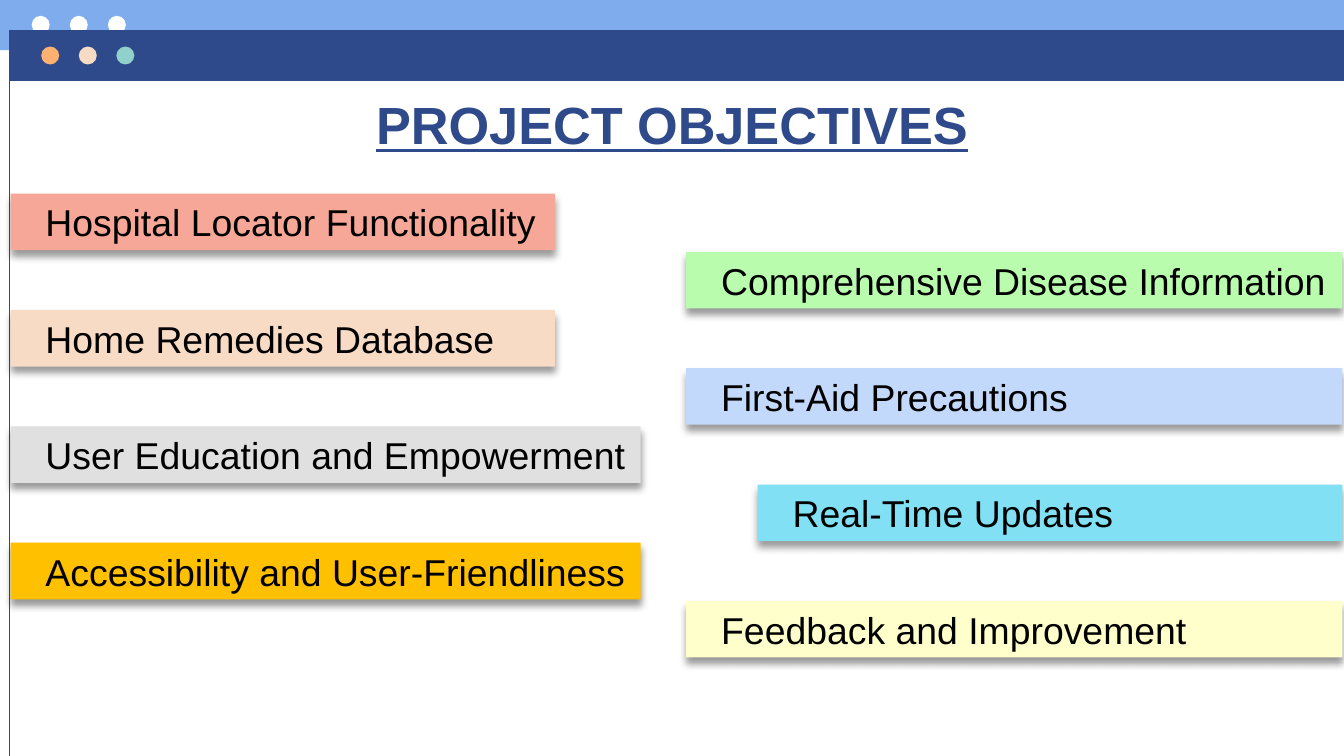
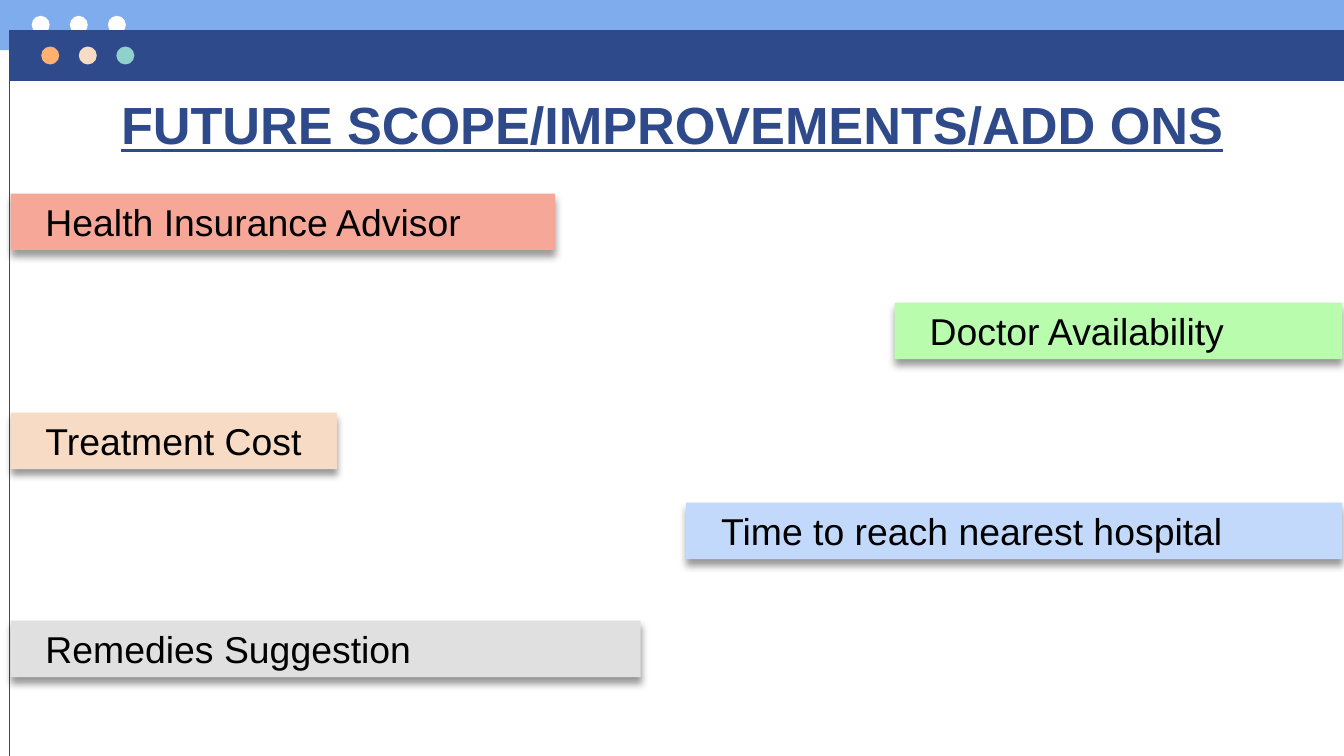
from dataclasses import dataclass
from typing import Any

from lxml.etree import SubElement
from pptx import Presentation
from pptx.dml.color import RGBColor
from pptx.enum.shapes import MSO_CONNECTOR, MSO_SHAPE
from pptx.enum.text import MSO_ANCHOR, MSO_AUTO_SIZE, PP_ALIGN
from pptx.oxml.ns import qn
from pptx.util import Cm, Pt


@dataclass(frozen=True)
class Theme:
    """Colours, font and type sizes of the deck."""
    font: str = "Arial"
    title_size: float = 28
    bar_size: float = 20
    navy: str = "2F4A8A"
    sky: str = "7EACEC"
    white: str = "FFFFFF"
    black: str = "000000"
    orange: str = "FFB172"
    peach: str = "F8DBC4"
    teal: str = "90D1CB"
    coral: str = "F7A797"
    green: str = "B9FCAE"
    blue: str = "C3D9FB"
    grey: str = "E0E0E0"
    amber: str = "FFC000"
    cyan: str = "81E0F3"
    yellow: str = "FFFFCC"


@dataclass(frozen=True)
class Bar:
    """A label bar that starts at the left or ends at the right margin (cm)."""
    text: str
    color: str
    top: float
    width: float
    on_right: bool = False


T = Theme()
SLIDE_W, SLIDE_H = 25.4, 14.29
LEFT_EDGE, RIGHT_EDGE = 0.2, 25.37
BAR_H, BAR_INDENT = 1.07, 0.41
FIRST_TOP, ROW_STEP = 3.66, 1.1
FRAME_X, FRAME_Y, BAND_H = 0.18, 0.57, 0.96
DOT = 0.34
NARROW, MEDIUM, WIDE = 10.29, 11.91, 12.4


def apply(obj: Any, **values: Any) -> None:
    """Set each named attribute on an object."""
    for name, value in values.items():
        setattr(obj, name, value)


def add_block(s: Any, kind: MSO_SHAPE, x: float, y: float,
              w: float, h: float, color: str) -> Any:
    """Add a flat filled shape without outline, placed in cm."""
    sp = s.shapes.add_shape(kind, Cm(x), Cm(y), Cm(w), Cm(h))
    sp.shadow.inherit = False
    sp.fill.solid()
    sp.fill.fore_color.rgb = RGBColor.from_string(color)
    sp.line.fill.background()
    return sp


def add_dots(s: Any, x: float, y: float, step: float, colors: list[str]) -> None:
    """Add a row of window dots."""
    for i, color in enumerate(colors):
        add_block(s, MSO_SHAPE.OVAL, x + i * step, y, DOT, DOT, color)


def add_window_frame(s: Any) -> None:
    """Add the two bands, their dots and the left edge line."""
    add_block(s, MSO_SHAPE.RECTANGLE, 0, 0, SLIDE_W, 0.95, T.sky)
    add_dots(s, 0.6, 0.3, 0.72, [T.white] * 3)
    add_block(s, MSO_SHAPE.RECTANGLE, FRAME_X, FRAME_Y,
              SLIDE_W - FRAME_X, BAND_H, T.navy)
    add_dots(s, 0.78, 0.88, 0.71, [T.orange, T.peach, T.teal])
    edge = s.shapes.add_connector(MSO_CONNECTOR.STRAIGHT, Cm(FRAME_X), Cm(FRAME_Y),
                                  Cm(FRAME_X), Cm(SLIDE_H))
    edge.line.color.rgb = RGBColor.from_string(T.navy)
    edge.line.width = Pt(0.75)
    SubElement(edge.element.spPr, qn("a:effectLst"))


def frame_layout(prs: Any) -> Any:
    """Put the window frame on the title-only layout and return the layout."""
    layout = prs.slide_layouts[5]
    for ph in list(layout.placeholders):
        if ph.placeholder_format.idx != 0:
            ph.element.getparent().remove(ph.element)
    return layout


def move_to_layout(s: Any) -> None:
    """Move everything but the title from a slide to its layout."""
    tree = s.slide_layout.placeholders[0].element.getparent()
    for sp in list(s.shapes):
        if not sp.is_placeholder:
            tree.append(sp.element)


def write(p: Any, text: str, size: float, color: str, **values: Any) -> None:
    """Write one formatted run in a paragraph."""
    r = p.add_run()
    r.text = text
    apply(r.font, name=T.font, size=Pt(size), **values)
    r.font.color.rgb = RGBColor.from_string(color)


def set_title(s: Any, text: str) -> None:
    """Place and format the title placeholder."""
    sp = s.shapes.title
    apply(sp, left=Cm(1.98), top=Cm(1.5), width=Cm(21.44), height=Cm(1.3))
    inset = Cm(0.25)
    tf = sp.text_frame
    apply(tf, margin_left=inset, margin_right=inset, margin_top=inset,
          margin_bottom=inset, vertical_anchor=MSO_ANCHOR.TOP,
          word_wrap=True, auto_size=MSO_AUTO_SIZE.NONE)
    p = tf.paragraphs[0]
    apply(p, alignment=PP_ALIGN.CENTER, line_spacing=1.0, space_before=Pt(0))
    write(p, text, T.title_size, T.navy, bold=True, underline=True)


def add_shadow(sp: Any) -> None:
    """Give a shape a soft shadow straight below it."""
    effects = sp.element.spPr.find(qn("a:effectLst"))
    shadow = SubElement(effects, qn("a:outerShdw"), blurRad=str(Pt(4)),
                        dist=str(Pt(3)), dir="5400000", algn="t", rotWithShape="0")
    color = SubElement(shadow, qn("a:srgbClr"), val=T.black)
    SubElement(color, qn("a:alpha"), val="40000")


def add_bar(s: Any, bar: Bar) -> None:
    """Add one label bar with its text."""
    x = RIGHT_EDGE - bar.width if bar.on_right else LEFT_EDGE
    sp = add_block(s, MSO_SHAPE.RECTANGLE, x, bar.top, bar.width, BAR_H, bar.color)
    add_shadow(sp)
    tf = sp.text_frame
    apply(tf, word_wrap=True, vertical_anchor=MSO_ANCHOR.MIDDLE, margin_right=0)
    p = tf.paragraphs[0]
    p.alignment = PP_ALIGN.LEFT
    p._p.get_or_add_pPr().set("marL", str(Cm(BAR_INDENT)))
    write(p, bar.text, T.bar_size, T.black)


def objective_bars() -> list[Bar]:
    """Return the objectives, alternating left and right at equal steps."""
    rows = [
        ("Hospital Locator Functionality", T.coral, NARROW),
        ("Comprehensive Disease Information", T.green, WIDE),
        ("Home Remedies Database", T.peach, NARROW),
        ("First-Aid Precautions", T.blue, WIDE),
        ("User Education and Empowerment", T.grey, MEDIUM),
        ("Real-Time Updates", T.cyan, 11.05),
        ("Accessibility and User-Friendliness", T.amber, MEDIUM),
        ("Feedback and Improvement", T.yellow, WIDE),
    ]
    return [Bar(text, color, FIRST_TOP + i * ROW_STEP, width, i % 2 == 1)
            for i, (text, color, width) in enumerate(rows)]


SCOPE_BARS = [
    Bar("Health Insurance Advisor", T.coral, FIRST_TOP, NARROW),
    Bar("Doctor Availability", T.green, 5.72, 8.46, True),
    Bar("Treatment Cost", T.peach, 7.8, 6.17),
    Bar("Time to reach nearest hospital", T.blue, 9.5, WIDE, True),
    Bar("Remedies Suggestion", T.grey, 11.73, MEDIUM),
]


def main() -> None:
    """Build and save the deck."""
    prs = Presentation()
    apply(prs, slide_width=Cm(SLIDE_W), slide_height=Cm(SLIDE_H))
    layout = frame_layout(prs)
    pages = [("PROJECT OBJECTIVES", objective_bars()),
             ("FUTURE SCOPE/IMPROVEMENTS/ADD ONS", SCOPE_BARS)]
    for i, (title, bars) in enumerate(pages):
        s = prs.slides.add_slide(layout)
        if i == 0:
            add_window_frame(s)
            move_to_layout(s)
        set_title(s, title)
        for bar in bars:
            add_bar(s, bar)
    prs.save("out.pptx")


main()
